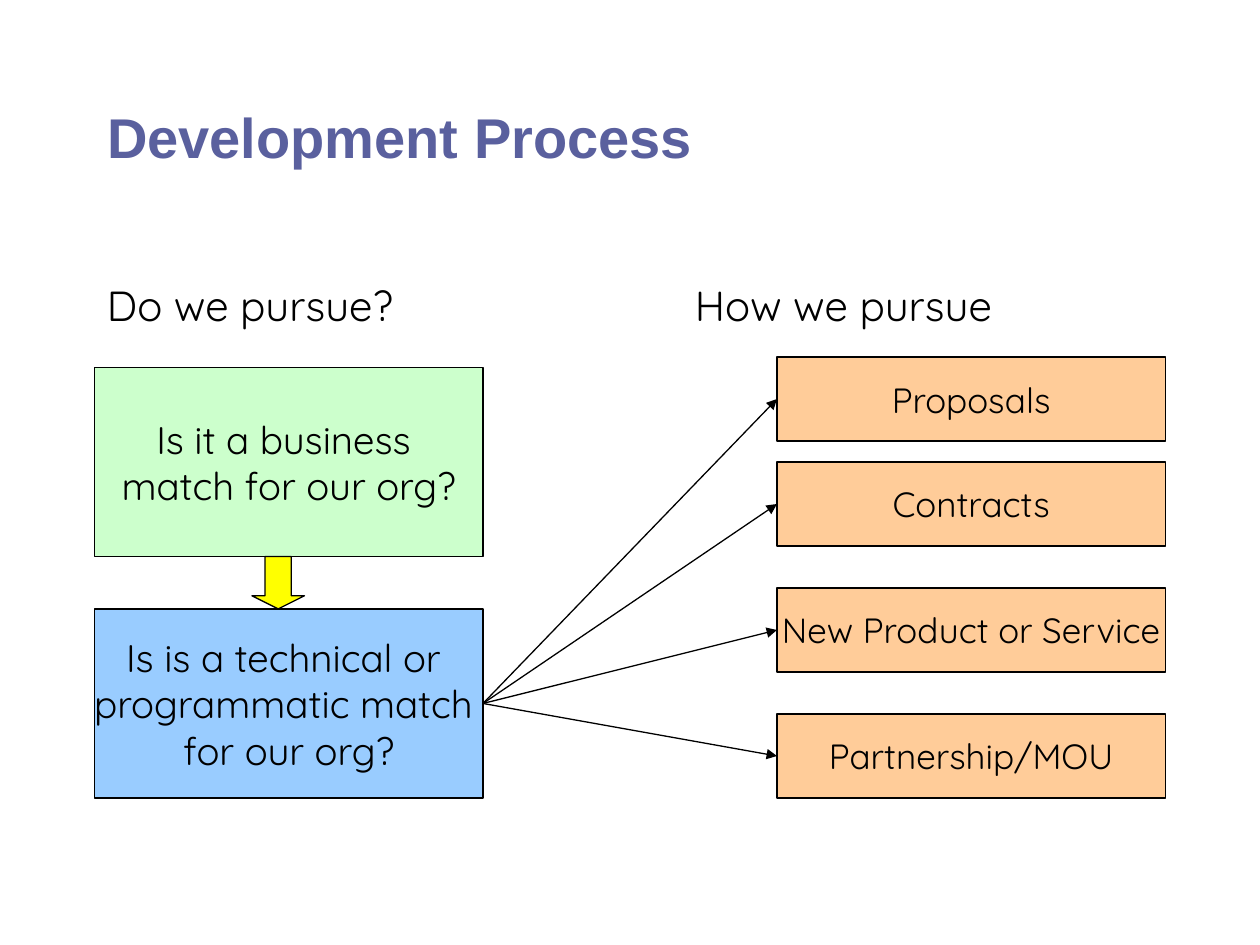
from lxml.etree import SubElement
from pptx import Presentation
from pptx.dml.color import RGBColor
from pptx.enum.shapes import MSO_CONNECTOR as CONN, MSO_SHAPE as SHAPE
from pptx.enum.text import MSO_ANCHOR as ANCHOR, MSO_AUTO_SIZE as AUTO, PP_ALIGN as ALIGN
from pptx.oxml.ns import qn
from pptx.util import Inches, Pt

BLACK = RGBColor(0, 0, 0)
INDIGO = RGBColor(0x5A, 0x60, 0x9E)
GREEN = RGBColor(0xCC, 0xFF, 0xCC)
BLUE = RGBColor(0x99, 0xCC, 0xFF)
ORANGE = RGBColor(0xFF, 0xCC, 0x99)
YELLOW = RGBColor(0xFF, 0xFF, 0)

TITLE = "Development Process"
HEADINGS = [("Do we pursue?", 9), ("How we pursue", 65)]
QUESTIONS = [
    (["Is it a business ", "match for our org?"], 35, GREEN),
    (["Is is a technical or ", "programmatic match ", "for our org?"], 58, BLUE),
]
OUTCOMES = [
    ("Proposals", 34),
    ("Contracts", 44),
    ("New Product or Service", 56),
    ("Partnership/MOU", 68),
]

UNIT = Inches(1) // 12
LEFT_COL, RIGHT_COL, BOX_W = 9, 74, 37
QUESTION_H, OUTCOME_H = 18, 8


def grid(*cells):
    return [c * UNIT for c in cells]


def set_font(p, size, color=BLACK, name="Quicksand", bold=False):
    p.font.size, p.font.name, p.font.bold = Pt(size), name, bold
    p.font.color.rgb = color


def add_shape(kind, cells, fill):
    s = slide.shapes.add_shape(kind, *grid(*cells))
    s.shadow.inherit = False
    s.fill.solid()
    s.fill.fore_color.rgb = fill
    s.line.color.rgb = BLACK
    s.line.width = Pt(0.75)
    return s


def add_box(lines, cells, fill, size):
    s = add_shape(SHAPE.RECTANGLE, cells, fill)
    tf = s.text_frame
    tf.text = "\n".join(lines)
    tf.word_wrap = False
    tf.vertical_anchor = ANCHOR.MIDDLE
    for p in tf.paragraphs:
        p.alignment = ALIGN.CENTER
        set_font(p, size)
    return s


def add_arrow(start, end):
    c = slide.shapes.add_connector(CONN.STRAIGHT, 0, 0, 0, 0)
    c.begin_connect(start, 3)
    c.end_connect(end, 1)
    c.line.color.rgb = BLACK
    c.line.width = Pt(0.75)
    SubElement(c.line._get_or_add_ln(), qn("a:tailEnd"), type="triangle")
    SubElement(c._element.spPr, qn("a:effectLst"))


prs = Presentation()
prs.slide_width, prs.slide_height = Inches(10), Inches(7.5)
slide = prs.slides.add_slide(prs.slide_layouts[5])

title = slide.shapes.title
title.left, title.top, title.width, title.height = grid(LEFT_COL, 10, 102, 6)
tf = title.text_frame
tf.text = TITLE
tf.auto_size = AUTO.NONE
tf.vertical_anchor = ANCHOR.MIDDLE
tf.paragraphs[0].alignment = ALIGN.LEFT
set_font(tf.paragraphs[0], 32, INDIGO, "Arial", True)

for text, left in HEADINGS:
    tf = slide.shapes.add_textbox(*grid(left, 26, 46, 6)).text_frame
    tf.text = text
    tf.word_wrap = True
    set_font(tf.paragraphs[0], 24)

questions = [add_box(lines, (LEFT_COL, top, BOX_W, QUESTION_H), fill, 22)
             for lines, top, fill in QUESTIONS]
outcomes = [add_box([text], (RIGHT_COL, top, BOX_W, OUTCOME_H), ORANGE, 20)
            for text, top in OUTCOMES]

gap_top = QUESTIONS[0][1] + QUESTION_H
gap = QUESTIONS[1][1] - gap_top
down = add_shape(SHAPE.DOWN_ARROW, (24, gap_top, gap, gap), YELLOW)
down.adjustments[0], down.adjustments[1] = 0.5, 0.25

for outcome in outcomes:
    add_arrow(questions[-1], outcome)

prs.save("out.pptx")
